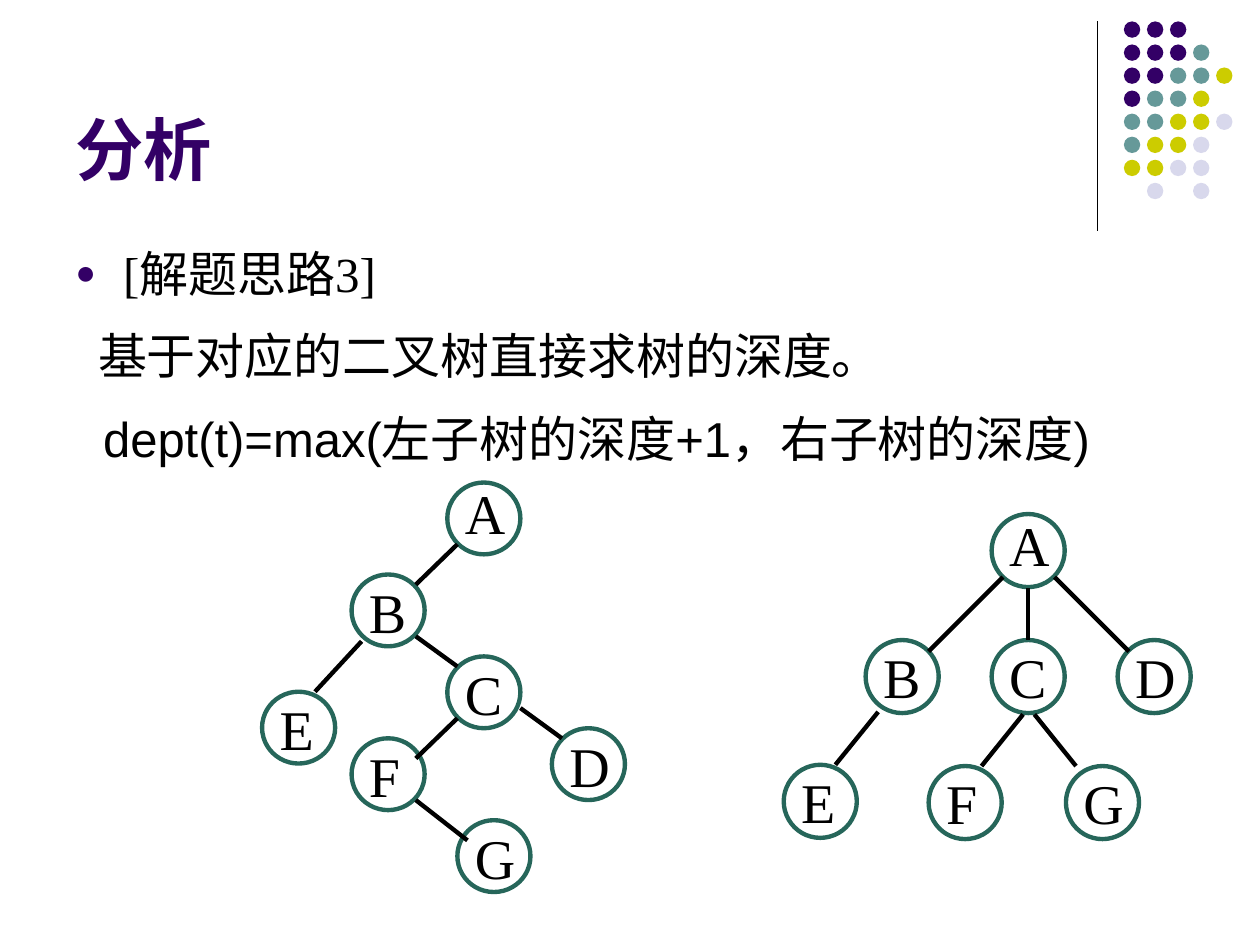
import dataclasses

import lxml.etree
import pptx
import pptx.dml.color
import pptx.enum.shapes
import pptx.enum.text
import pptx.oxml.ns
import pptx.util

Inches = pptx.util.Inches
Pt = pptx.util.Pt
qn = pptx.oxml.ns.qn


@dataclasses.dataclass(frozen=True)
class Theme:
    purple: str = "330066"
    teal: str = "669999"
    olive: str = "CCCC00"
    lilac: str = "D8D8EC"
    node: str = "26665A"
    ink: str = "000000"
    sans: str = "Arial"
    serif: str = "Times New Roman"
    title_size: float = 39
    body_size: float = 28
    label_size: float = 32
    tree_line: float = 2.5
    rule_line: float = 0.75


THEME = Theme()

# Corner dots: one letter per dot, a space where there is none
DOT_ROWS = ["PPP", "PPPT", "PPTTY", "PTTY", "TTYYL", "TYYL", "YYLL", " L L"]
DOT_COLOURS = {"P": THEME.purple, "T": THEME.teal, "Y": THEME.olive, "L": THEME.lilac}
DOT_LEFT, DOT_TOP, DOT_PITCH, DOT_SIZE = 8.92, 0.17, 0.183, 0.13

# Trees: top left corner of each node, then the ends of each branch
BINARY_NODES = {
    "A": (3.55, 3.83), "B": (2.79, 4.56), "C": (3.55, 5.21), "D": (4.38, 5.78),
    "E": (2.08, 5.49), "F": (2.79, 5.86), "G": (3.63, 6.51),
}
BINARY_BRANCHES = [
    (3.63, 4.32, 3.3, 4.64), (3.3, 5.05, 3.63, 5.29), (3.63, 5.7, 3.3, 6.02),
    (3.3, 6.35, 3.71, 6.67), (4.13, 5.62, 4.46, 5.86), (2.87, 5.09, 2.5, 5.49),
]
GENERAL_NODES = {
    "A": (7.87, 4.08), "B": (6.87, 5.08), "C": (7.87, 5.08), "D": (8.87, 5.08),
    "E": (6.22, 6.07), "F": (7.37, 6.08), "G": (8.46, 6.08),
}
GENERAL_BRANCHES = [
    (8.16, 4.67, 8.16, 5.08), (7.96, 4.58, 7.37, 5.17), (8.37, 4.58, 8.96, 5.17),
    (8.12, 5.67, 7.79, 6.08), (8.21, 5.67, 8.54, 6.08), (6.97, 5.65, 6.63, 6.07),
]


def rgb(colour):
    return pptx.dml.color.RGBColor.from_string(colour)


def add_line(slide, ends, width):
    line = slide.shapes.add_connector(
        pptx.enum.shapes.MSO_CONNECTOR.STRAIGHT, *map(Inches, ends))
    line.line.color.rgb = rgb(THEME.ink)
    line.line.width = Pt(width)
    lxml.etree.SubElement(line._element.spPr, qn("a:effectLst"))


def add_ellipse(slide, left, top, width, height, fill=None, outline=None):
    ellipse = slide.shapes.add_shape(
        pptx.enum.shapes.MSO_SHAPE.OVAL, *map(Inches, (left, top, width, height)))
    ellipse.shadow.inherit = False
    if fill:
        ellipse.fill.solid()
        ellipse.fill.fore_color.rgb = rgb(fill)
    else:
        ellipse.fill.background()
    if outline:
        ellipse.line.color.rgb = rgb(outline)
        ellipse.line.width = Pt(THEME.tree_line)
    else:
        ellipse.line.fill.background()


def add_frame(slide, left, top, width, height):
    frame = slide.shapes.add_textbox(
        *map(Inches, (left, top, width, height))).text_frame
    frame.word_wrap = True
    return frame


def add_run(paragraph, text, size, font, colour=THEME.ink, bold=False):
    run = paragraph.add_run()
    run.text = text
    run.font.size = Pt(size)
    run.font.name = font
    run.font.bold = bold
    run.font.color.rgb = rgb(colour)


def set_indent(paragraph, left, hanging=0):
    properties = paragraph._p.get_or_add_pPr()
    properties.set("marL", str(Inches(left)))
    properties.set("indent", str(-Inches(hanging)))


def set_bullet(paragraph):
    properties = paragraph._p.get_or_add_pPr()
    colour = lxml.etree.SubElement(properties, qn("a:buClr"))
    lxml.etree.SubElement(colour, qn("a:srgbClr"), val=THEME.purple)
    lxml.etree.SubElement(properties, qn("a:buSzPct"), val="70000")
    lxml.etree.SubElement(properties, qn("a:buFont"), typeface=THEME.sans)
    lxml.etree.SubElement(properties, qn("a:buChar"), char="●")


def add_corner(slide):
    add_line(slide, (8.71, 0.17, 8.71, 1.83), THEME.rule_line)
    for row, letters in enumerate(DOT_ROWS):
        for column, letter in enumerate(letters):
            if letter in DOT_COLOURS:
                add_ellipse(slide, DOT_LEFT + column * DOT_PITCH,
                            DOT_TOP + row * DOT_PITCH, DOT_SIZE, DOT_SIZE,
                            fill=DOT_COLOURS[letter])


def add_title(slide):
    frame = add_frame(slide, 0.5, 0.13, 8.25, 1.42)
    frame.vertical_anchor = pptx.enum.text.MSO_ANCHOR.BOTTOM
    add_run(frame.paragraphs[0], "分析", THEME.title_size, THEME.sans,
            THEME.purple, bold=True)


def add_body(slide):
    frame = add_frame(slide, 0.5, 1.88, 9, 4.82)
    heading = frame.paragraphs[0]
    heading.space_before = Pt(7)
    set_indent(heading, 0.38, hanging=0.38)
    set_bullet(heading)
    add_run(heading, "[解题思路3]", THEME.body_size, THEME.serif)
    for text, indent in [
        ("基于对应的二叉树直接求树的深度。", 0.18),
        ("dept(t)=max(左子树的深度+1，右子树的深度)", 0.22),
    ]:
        step = frame.add_paragraph()
        step.line_spacing = 1.2
        step.space_before = Pt(7)
        set_indent(step, indent)
        add_run(step, text, THEME.body_size, THEME.sans)


def add_tree(slide, nodes, branches, node_height):
    for letter, (left, top) in nodes.items():
        add_ellipse(slide, left, top, 0.58, node_height, outline=THEME.node)
        label = add_frame(slide, left + 0.04, top - 0.08, 0.58, 0.69).paragraphs[0]
        # The root letter sits a little higher than the others
        label.line_spacing = 1.0 if letter == "A" else 1.1
        add_run(label, letter, THEME.label_size, THEME.serif)
    for ends in branches:
        add_line(slide, ends, THEME.tree_line)


def main():
    deck = pptx.Presentation()
    deck.slide_width, deck.slide_height = Inches(10), Inches(7.5)
    slide = deck.slides.add_slide(deck.slide_layouts[6])
    add_corner(slide)
    add_title(slide)
    add_body(slide)
    add_tree(slide, BINARY_NODES, BINARY_BRANCHES, 0.57)
    add_tree(slide, GENERAL_NODES, GENERAL_BRANCHES, 0.58)
    deck.save("out.pptx")


if __name__ == "__main__":
    main()
